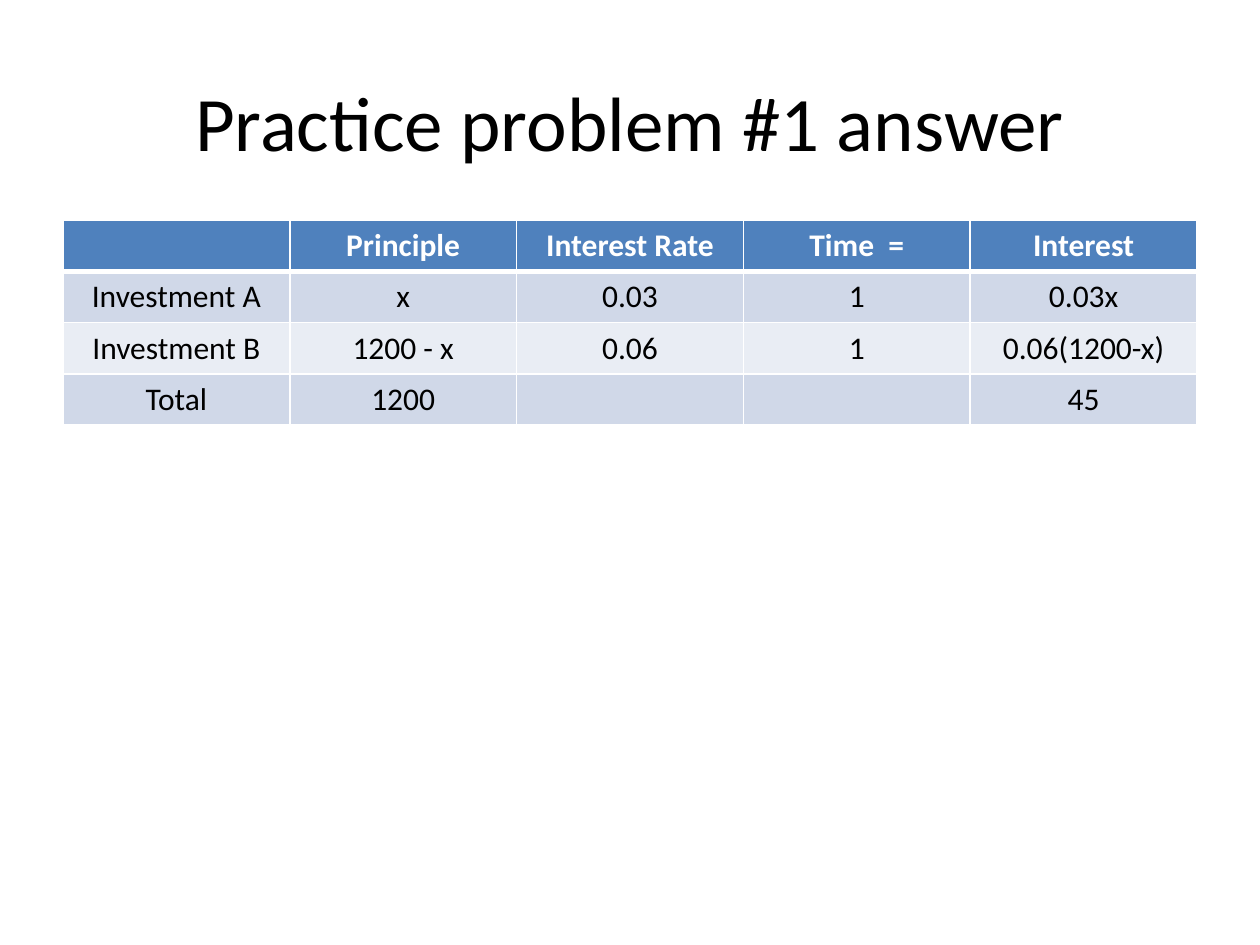
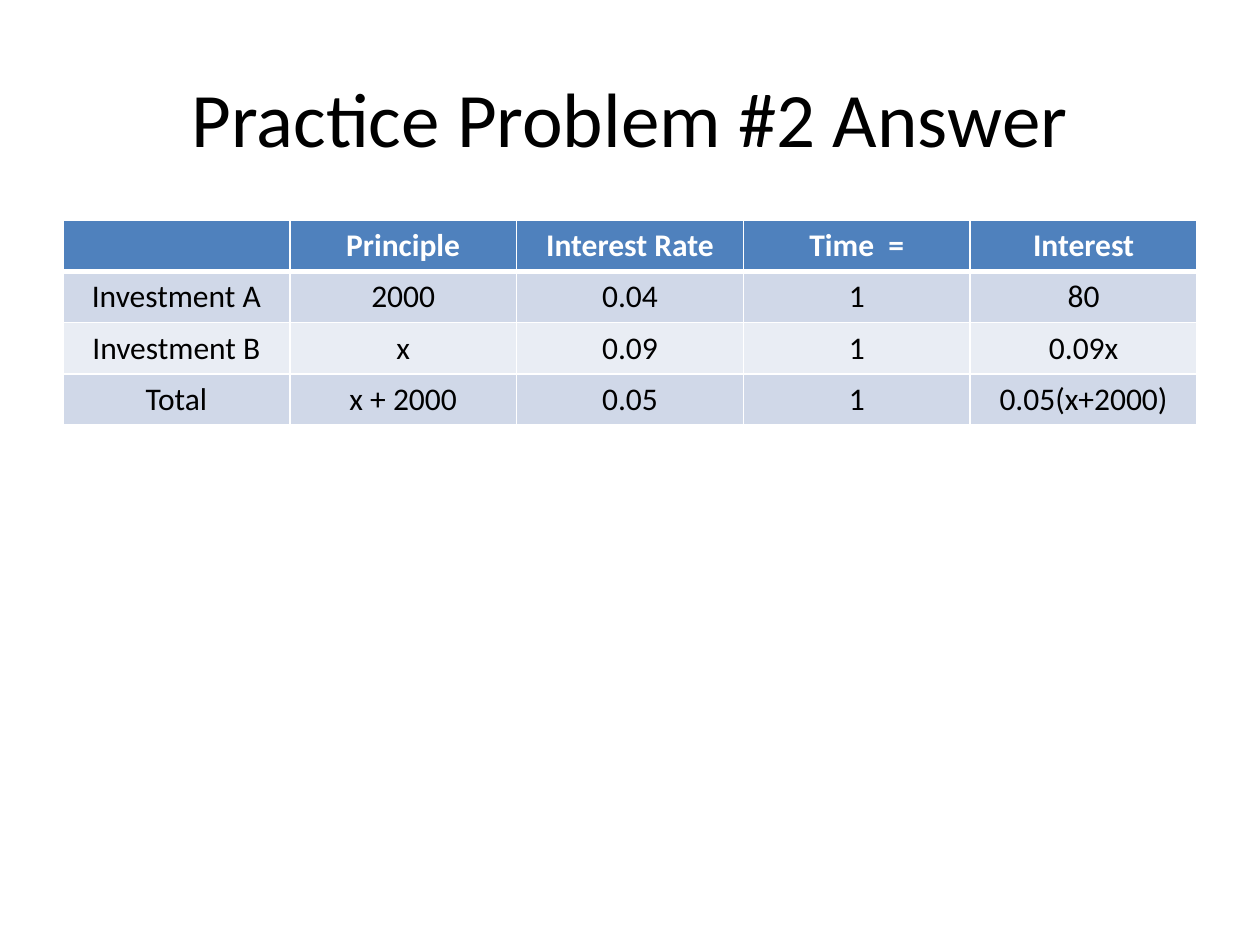
import dataclasses

import lxml.etree
import pptx
import pptx.dml.color
import pptx.enum.text
import pptx.oxml.ns
import pptx.util

Inches = pptx.util.Inches
Pt = pptx.util.Pt
RGB = pptx.dml.color.RGBColor.from_string


# Shared style
@dataclasses.dataclass(frozen=True)
class Theme:
    font: str = "Calibri"
    title_size: int = 44
    cell_size: int = 18
    text: str = "000000"
    paper: str = "FFFFFF"
    header: str = "4F81BD"
    bands: tuple = ("D0D8E8", "E9EDF4")
    rule: int = 1
    header_rule: int = 3


class Deck:
    """Holds the theme and the current slide."""

    def __init__(self, theme):
        self.theme = theme
        self.prs = pptx.Presentation()
        self.prs.slide_width = Inches(10)
        self.prs.slide_height = Inches(7.5)
        self.slide = None

    def add_slide(self):
        self.slide = self.prs.slides.add_slide(self.prs.slide_layouts[5])
        fill = self.slide.background.fill
        fill.solid()
        fill.fore_color.rgb = RGB(self.theme.paper)

    def add_text(self, tf, text, size, color, bold=False):
        p = tf.paragraphs[0]
        p.alignment = pptx.enum.text.PP_ALIGN.CENTER
        if not text:
            return
        r = p.add_run()
        r.text = text
        r.font.name = self.theme.font
        r.font.size = Pt(size)
        r.font.bold = bold
        r.font.color.rgb = RGB(color)

    def title(self, text, top):
        sp = self.slide.shapes.title
        sp.left, sp.top = Inches(0.5), Inches(top)
        sp.width, sp.height = Inches(9), Inches(1.25)
        tf = sp.text_frame
        tf.vertical_anchor = pptx.enum.text.MSO_ANCHOR.MIDDLE
        self.add_text(tf, text, self.theme.title_size, self.theme.text)

    def border(self, cell, side, width):
        qn = pptx.oxml.ns.qn
        tc_pr = cell._tc.get_or_add_tcPr()
        ln = lxml.etree.SubElement(tc_pr, qn("a:ln" + side), w=str(Pt(width)))
        fill = lxml.etree.SubElement(ln, qn("a:solidFill"))
        lxml.etree.SubElement(fill, qn("a:srgbClr"), val=self.theme.paper)

    def table(self, rows):
        t = self.theme
        n_rows, n_cols = len(rows), len(rows[0])
        width, height = Inches(9), Inches(1.62)
        table = self.slide.shapes.add_table(
            n_rows, n_cols, Inches(0.5), Inches(1.75), width, height).table
        for col in table.columns:
            col.width = width // n_cols
        for i, values in enumerate(rows):
            table.rows[i].height = height // n_rows
            is_header = i == 0
            rules = {"L": t.rule, "R": t.rule,
                     "T": t.header_rule if i == 1 else t.rule,
                     "B": t.header_rule if is_header else t.rule}
            for j, value in enumerate(values):
                cell = table.cell(i, j)
                for side, rule in rules.items():
                    self.border(cell, side, rule)
                cell.fill.solid()
                cell.fill.fore_color.rgb = RGB(
                    t.header if is_header else t.bands[(i - 1) % 2])
                self.add_text(cell.text_frame, value, t.cell_size,
                              t.paper if is_header else t.text, is_header)


# Content
COLUMNS = ("", "Principle", "Interest Rate", "Time  =", "Interest")
ROW_LABELS = ("Investment A", "Investment B", "Total")
ANSWERS = [
    ("Practice problem #1 answer", 0.33, [
        ("x", "0.03", "1", "0.03x"),
        ("1200 - x", "0.06", "1", "0.06(1200-x)"),
        ("1200", "", "", "45"),
    ]),
    ("Practice Problem #2 Answer", 0.3, [
        ("2000", "0.04", "1", "80"),
        ("x", "0.09", "1", "0.09x"),
        ("x + 2000", "0.05", "1", "0.05(x+2000)"),
    ]),
]


def main():
    deck = Deck(Theme())
    for title, top, values in ANSWERS:
        deck.add_slide()
        deck.title(title, top)
        deck.table([COLUMNS] + [(label, *row) for label, row in zip(ROW_LABELS, values)])
    deck.prs.save("out.pptx")


if __name__ == "__main__":
    main()
